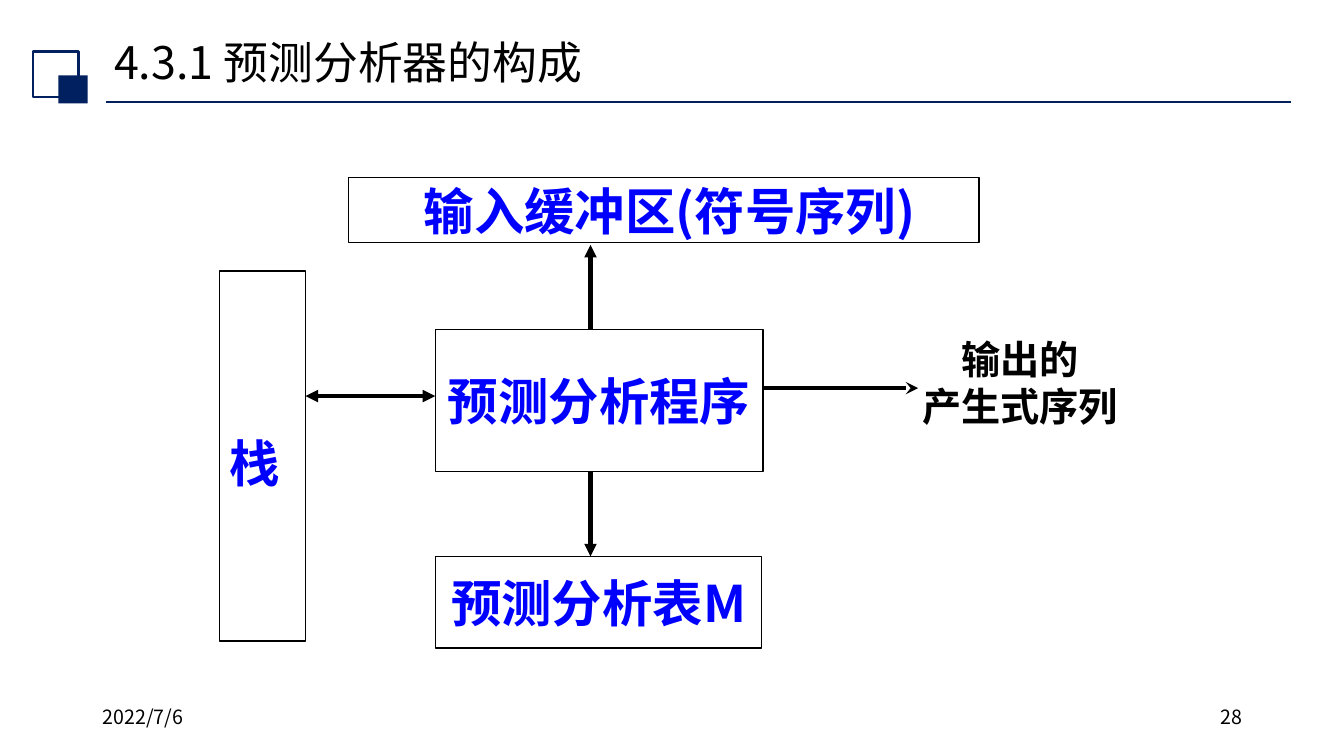
from dataclasses import dataclass

from lxml.etree import SubElement
from pptx import Presentation
from pptx.dml.color import RGBColor
from pptx.enum.shapes import MSO_CONNECTOR, MSO_SHAPE
from pptx.enum.text import MSO_ANCHOR, PP_ALIGN
from pptx.oxml.ns import qn
from pptx.util import Cm, Pt


@dataclass(frozen=True)
class Theme:
    font: str = "Noto Sans CJK SC"
    navy: RGBColor = RGBColor(0x00, 0x20, 0x60)
    blue: RGBColor = RGBColor(0x00, 0x00, 0xFF)
    black: RGBColor = RGBColor(0x00, 0x00, 0x00)
    title: int = 32
    box: int = 36
    label: int = 28
    footer: int = 14


class SlideBuilder:
    def __init__(self, s, theme):
        self.s = s
        self.theme = theme

    def set_text(self, tf, text, size, color, bold=False,
                 align=PP_ALIGN.LEFT, spacing=None):
        tf.text = text
        for p in tf.paragraphs:
            p.alignment = align
            p.line_spacing = spacing
            p.font.name = self.theme.font
            p.font.size = Pt(size)
            p.font.bold = bold
            p.font.color.rgb = color
            # East Asian typeface follows the Latin one
            latin = p._p.pPr.find(qn("a:defRPr")).find(qn("a:latin"))
            ea = latin.makeelement(qn("a:ea"), {"typeface": self.theme.font})
            latin.addnext(ea)

    def title(self, text, x, y, w, h):
        sp = self.s.shapes.title
        sp.left, sp.top, sp.width, sp.height = Cm(x), Cm(y), Cm(w), Cm(h)
        sp.text_frame.vertical_anchor = MSO_ANCHOR.MIDDLE
        self.set_text(sp.text_frame, text, self.theme.title,
                      self.theme.black, spacing=0.9)

    def rect(self, x, y, w, h, line=None, width=1, fill=None):
        sp = self.s.shapes.add_shape(MSO_SHAPE.RECTANGLE,
                                     Cm(x), Cm(y), Cm(w), Cm(h))
        sp.shadow.inherit = False
        if fill is None:
            sp.fill.background()
        else:
            sp.fill.solid()
            sp.fill.fore_color.rgb = fill
        if line is None:
            sp.line.fill.background()
        else:
            sp.line.color.rgb = line
            sp.line.width = Pt(width)
        return sp

    def box(self, text, x, y, w, h, align=PP_ALIGN.CENTER, spacing=None):
        tf = self.rect(x, y, w, h, line=self.theme.black).text_frame
        tf.word_wrap = False
        tf.vertical_anchor = MSO_ANCHOR.MIDDLE
        self.set_text(tf, text, self.theme.box, self.theme.blue, True,
                      align, spacing)

    def label(self, text, x, y, w, h, size, bold=False,
              align=PP_ALIGN.LEFT):
        tf = self.s.shapes.add_textbox(Cm(x), Cm(y), Cm(w), Cm(h)).text_frame
        tf.word_wrap = True
        self.set_text(tf, text, size, self.theme.black, bold, align)

    def line(self, x1, y1, x2, y2, color, width, head=None, tail=None):
        c = self.s.shapes.add_connector(MSO_CONNECTOR.STRAIGHT,
                                        Cm(x1), Cm(y1), Cm(x2), Cm(y2))
        c.line.color.rgb = color
        c.line.width = Pt(width)
        ln = c._element.spPr.find(qn("a:ln"))
        for tag, kind in (("a:headEnd", head), ("a:tailEnd", tail)):
            if kind:
                SubElement(ln, qn(tag), type=kind)
        SubElement(c._element.spPr, qn("a:effectLst"))

    def arrow(self, x1, y1, x2, y2, head=None, tail="triangle"):
        self.line(x1, y1, x2, y2, self.theme.black, 3, head, tail)


def main():
    prs = Presentation()
    prs.slide_width, prs.slide_height = Cm(33.87), Cm(19.05)
    theme = Theme()
    b = SlideBuilder(prs.slides.add_slide(prs.slide_layouts[5]), theme)

    # Heading with its rule and square ornament
    b.line(2.67, 2.57, 32.54, 2.57, theme.navy, 1.25)
    b.rect(0.84, 1.3, 1.14, 1.14, line=theme.navy, width=1.5)
    b.rect(1.47, 1.9, 0.74, 0.71, fill=theme.navy)
    b.title("4.3.1 预测分析器的构成", 2.62, 0.86, 29.21, 1.55)

    # Date and page number
    b.label("2022/7/6", 2.34, 17.65, 7.62, 1.02, theme.footer)
    b.label("28", 23.93, 17.65, 7.62, 1.02, theme.footer,
            align=PP_ALIGN.RIGHT)

    # Parts of the parser
    b.box(" 输入缓冲区(符号序列)", 8.79, 4.47, 15.88, 1.65)
    b.box("栈", 5.54, 6.83, 2.16, 9.32, PP_ALIGN.LEFT, 1.2)
    b.box("预测分析程序", 10.97, 8.31, 8.26, 3.58)
    b.box("预测分析表M", 10.97, 14.02, 8.23, 2.31)

    # Arrows from the program to the other parts
    b.arrow(14.88, 8.31, 14.88, 6.17)
    b.arrow(10.97, 9.98, 7.7, 9.98, head="triangle")
    b.arrow(14.88, 11.89, 14.88, 14.02)
    b.arrow(19.23, 9.78, 23.14, 9.78, tail="stealth")

    # Output
    b.label("输出的\n产生式序列", 22.63, 8.33, 6.15, 2.64, theme.label,
            True, PP_ALIGN.CENTER)

    prs.save("out.pptx")


if __name__ == "__main__":
    main()
